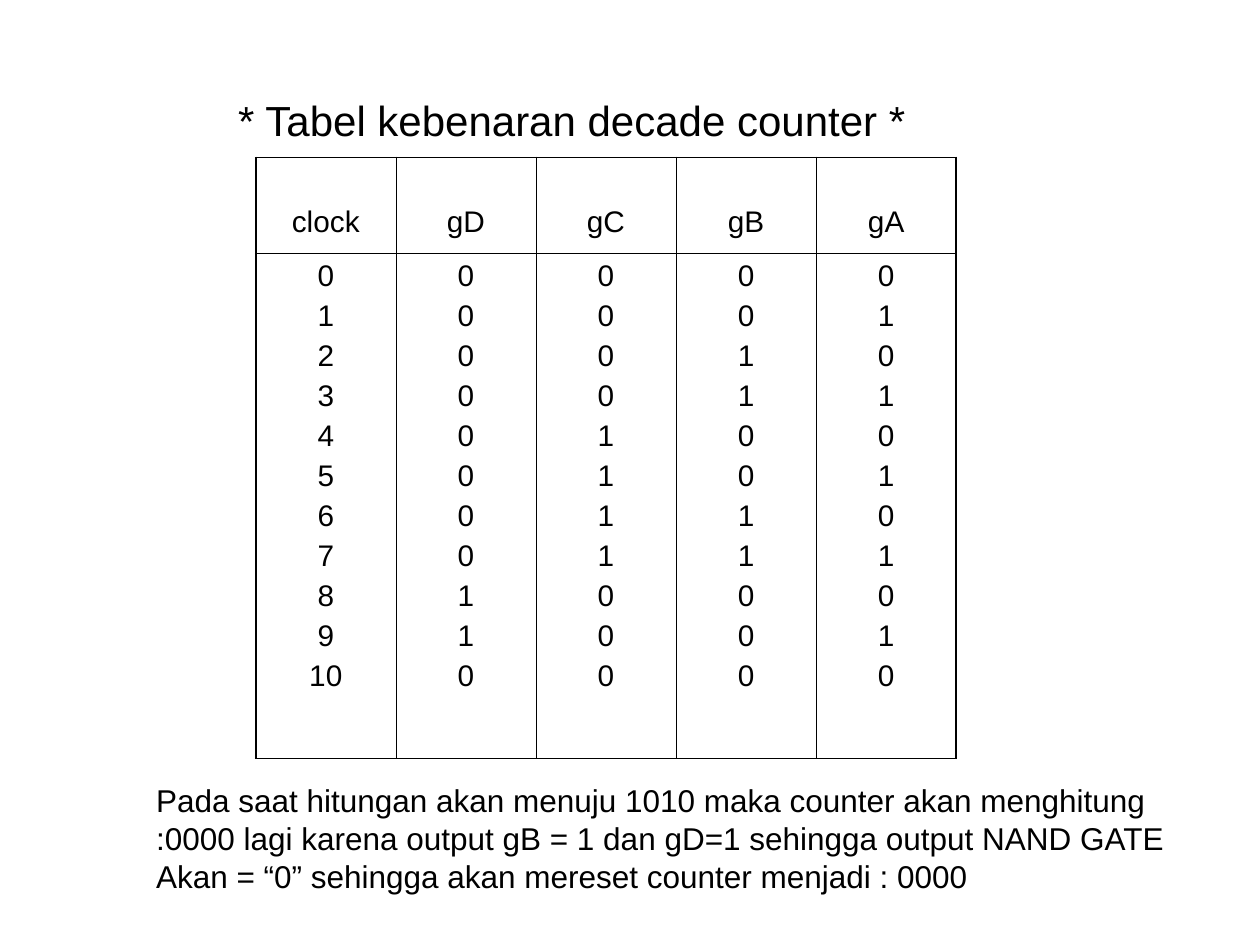
from lxml import etree
from pptx import Presentation
from pptx.dml.color import RGBColor
from pptx.enum.text import MSO_ANCHOR, MSO_AUTO_SIZE, PP_ALIGN
from pptx.oxml.ns import qn
from pptx.util import Inches, Pt

TOP = MSO_ANCHOR.TOP
GROW = MSO_AUTO_SIZE.SHAPE_TO_FIT_TEXT
LEFT = PP_ALIGN.LEFT
CENTER = PP_ALIGN.CENTER
INK = "000000"
OUTER, INNER = 1.08, 0.45


def format_text(frame, size, align, gap=0):
    for index, paragraph in enumerate(frame.paragraphs):
        paragraph.alignment = align
        paragraph.space_before = Pt(gap if index else 0)
        for run in paragraph.runs:
            run.font.name = "Arial"
            run.font.size = Pt(size)
            run.font.bold = False
            run.font.color.rgb = RGBColor.from_string(INK)


def add_border(cell, side, width):
    line = etree.SubElement(cell._tc.get_or_add_tcPr(), qn(f"a:{side}"), w=str(Pt(width)))
    fill = etree.SubElement(line, qn("a:solidFill"))
    etree.SubElement(fill, qn("a:srgbClr"), val=INK)


prs = Presentation()
prs.slide_width, prs.slide_height = Inches(10), Inches(7.5)
slide = prs.slides.add_slide(prs.slide_layouts[5])

title = slide.shapes.title
title.left, title.top = Inches(1.79), Inches(0.7)
title.width, title.height = Inches(5.53), Inches(0.5)
title.text_frame.text = "* Tabel kebenaran decade counter *"
format_text(title.text_frame, 24, LEFT)

headers = ["clock", "gD", "gC", "gB", "gA"]
clocks = range(11)
columns = [[str(clock) for clock in clocks]]
for bit in (3, 2, 1, 0):
    columns.append([str(clock % 10 >> bit & 1) for clock in clocks])

truth_table = slide.shapes.add_table(
    2, len(headers), Inches(2.03), Inches(1.25), Inches(5.56), Inches(4.77)
).table
truth_table.first_row = False
truth_table.horz_banding = False
truth_table.rows[0].height = Inches(0.76)
truth_table.rows[1].height = Inches(4.01)

last = len(headers) - 1
for col, (header, values) in enumerate(zip(headers, columns)):
    truth_table.columns[col].width = Inches(5.56 / len(headers))
    for row, text in enumerate((header, "\n".join(values))):
        cell = truth_table.cell(row, col)
        cell.text_frame.text = text
        cell.vertical_anchor = TOP
        cell.margin_top = Inches(0.05 if row else 0.38)
        format_text(cell.text_frame, 17, CENTER, 3.8)
        add_border(cell, "lnL", OUTER if col == 0 else INNER)
        add_border(cell, "lnR", OUTER if col == last else INNER)
        add_border(cell, "lnT", OUTER if row == 0 else INNER)
        add_border(cell, "lnB", OUTER if row == 1 else INNER)
        cell.fill.background()

explanation = slide.shapes.add_textbox(Inches(1.14), Inches(6.15), Inches(8.22), Inches(1))
explanation.text_frame.text = "\n".join([
    "Pada saat hitungan akan menuju 1010 maka counter akan menghitung",
    ":0000 lagi karena output gB = 1 dan gD=1 sehingga output NAND GATE",
    "Akan = “0” sehingga akan mereset counter menjadi : 0000",
])
format_text(explanation.text_frame, 18, LEFT)

for frame in (title.text_frame, explanation.text_frame):
    frame.word_wrap = False
    frame.auto_size = GROW
    frame.vertical_anchor = TOP

prs.save("out.pptx")
